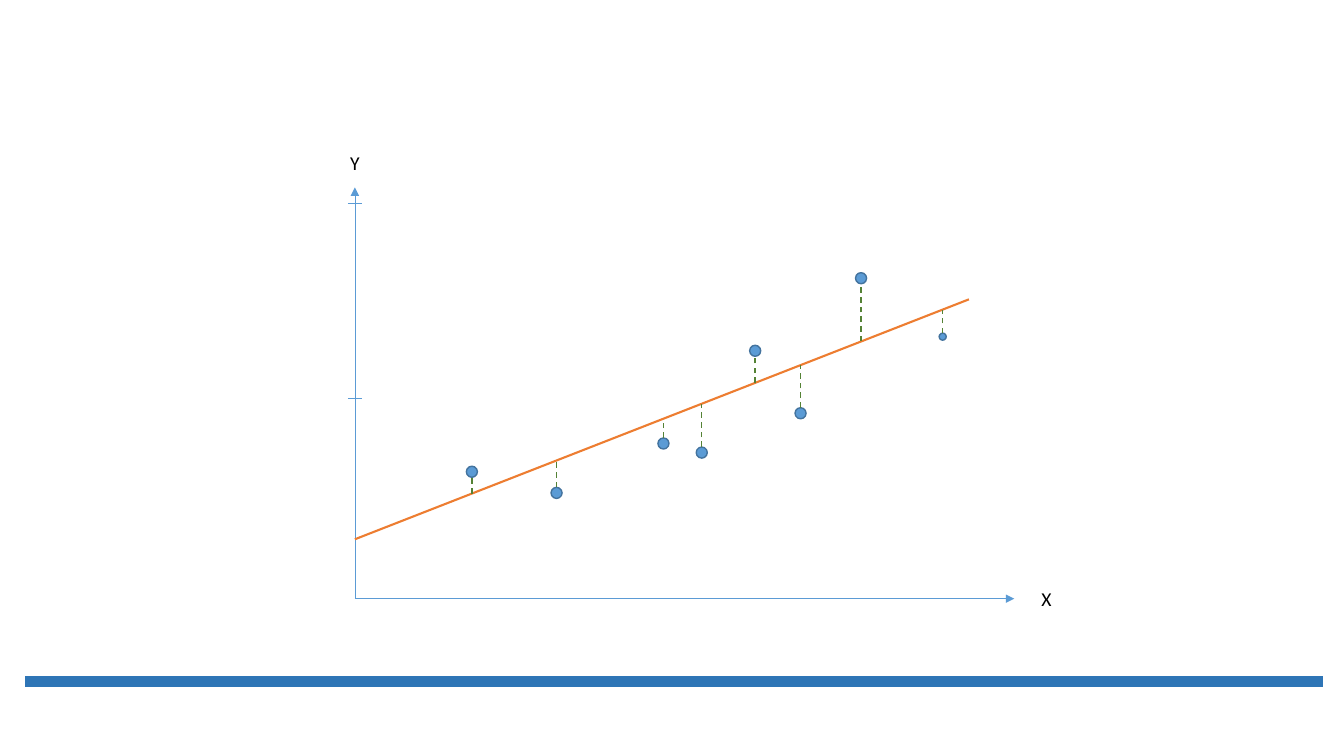
from pptx import Presentation
from pptx.dml.color import RGBColor
from pptx.enum.dml import MSO_LINE_DASH_STYLE as Dash
from pptx.enum.shapes import MSO_CONNECTOR as Connector, MSO_SHAPE as Shape
from pptx.enum.text import MSO_AUTO_SIZE as AutoSize, PP_ALIGN as Align
from pptx.oxml.ns import qn
from pptx.util import Inches, Pt
from lxml.etree import SubElement

BAR_BLUE = RGBColor(0x2E, 0x75, 0xB6)
BLUE = RGBColor(0x5B, 0x9B, 0xD5)
DOT_EDGE = RGBColor(0x43, 0x73, 0x9E)
ORANGE = RGBColor(0xED, 0x7D, 0x31)
GREEN = RGBColor(0x54, 0x82, 0x35)
BLACK = RGBColor(0, 0, 0)

ORIGIN_X, ORIGIN_Y = 3.52, 5.94
FIT_START, FIT_END = (ORIGIN_X, 5.35), (9.61, 2.97)
TICK_HEIGHTS = (3.95, 2.02)
TICK_HALF = 0.07
DOT_SIZE, SMALL_DOT = 0.11, 0.07
OBSERVATIONS = [
    (4.68, 4.68, DOT_SIZE),
    (5.52, 4.89, DOT_SIZE),
    (6.58, 4.4, DOT_SIZE),
    (6.96, 4.49, DOT_SIZE),
    (7.49, 3.48, DOT_SIZE),
    (7.94, 4.1, DOT_SIZE),
    (8.54, 2.76, DOT_SIZE),
    (9.35, 3.34, SMALL_DOT),
]


class Plot:
    font = "Calibri"
    font_size = Pt(14)

    def __init__(self, slide):
        self.shapes = slide.shapes

    def line(self, start, end, color, width, dash=None, arrow=False):
        ends = [Inches(value) for value in (*start, *end)]
        connector = self.shapes.add_connector(Connector.STRAIGHT, *ends)
        connector.line.color.rgb = color
        connector.line.width = Pt(width)
        if dash:
            connector.line.dash_style = dash
        properties = connector.element.spPr
        if arrow:
            SubElement(properties.find(qn("a:ln")), qn("a:tailEnd"), type="triangle")
        SubElement(properties, qn("a:effectLst"))

    def dot(self, x, y, size):
        dot = self.shapes.add_shape(
            Shape.OVAL, Inches(x - size / 2), Inches(y - size / 2), Inches(size), Inches(size))
        dot.shadow.inherit = False
        dot.fill.solid()
        dot.fill.fore_color.rgb = BLUE
        dot.line.color.rgb = DOT_EDGE
        dot.line.width = Pt(1)

    def label(self, text, left, top):
        box = self.shapes.add_textbox(Inches(left), Inches(top), Inches(0.3), Inches(0.34))
        frame = box.text_frame
        frame.word_wrap = False
        frame.auto_size = AutoSize.SHAPE_TO_FIT_TEXT
        paragraph = frame.paragraphs[0]
        paragraph.text = text
        paragraph.alignment = Align.CENTER
        paragraph.font.name = self.font
        paragraph.font.size = self.font_size
        paragraph.font.color.rgb = BLACK


def fitted(x):
    slope = (FIT_END[1] - FIT_START[1]) / (FIT_END[0] - FIT_START[0])
    return FIT_START[1] + slope * (x - FIT_START[0])


deck = Presentation()
deck.slide_width, deck.slide_height = Inches(13.33), Inches(7.5)
plot = Plot(deck.slides.add_slide(deck.slide_layouts[6]))

plot.line((0.25, 6.76), (13.12, 6.76), BAR_BLUE, 8)
plot.line((ORIGIN_X, ORIGIN_Y), (ORIGIN_X, 1.86), BLUE, 0.5, arrow=True)
for height in TICK_HEIGHTS:
    plot.line((ORIGIN_X - TICK_HALF, height), (ORIGIN_X + TICK_HALF, height), BLUE, 0.5)
plot.line((ORIGIN_X, ORIGIN_Y), (10.06, ORIGIN_Y), BLUE, 0.5, arrow=True)

for x, y, size in OBSERVATIONS:
    plot.dot(x, y, size)
plot.line(FIT_START, FIT_END, ORANGE, 1.5)
for x, y, size in OBSERVATIONS:
    target = fitted(x)
    edge = y + size / 2 if y < target else y - size / 2
    plot.line((x, max(edge, target)), (x, min(edge, target)), GREEN, 1, dash=Dash.DASH)

plot.label("Y", 3.37, 1.45)
plot.label("X", 10.23, 5.77)

deck.save("out.pptx")
